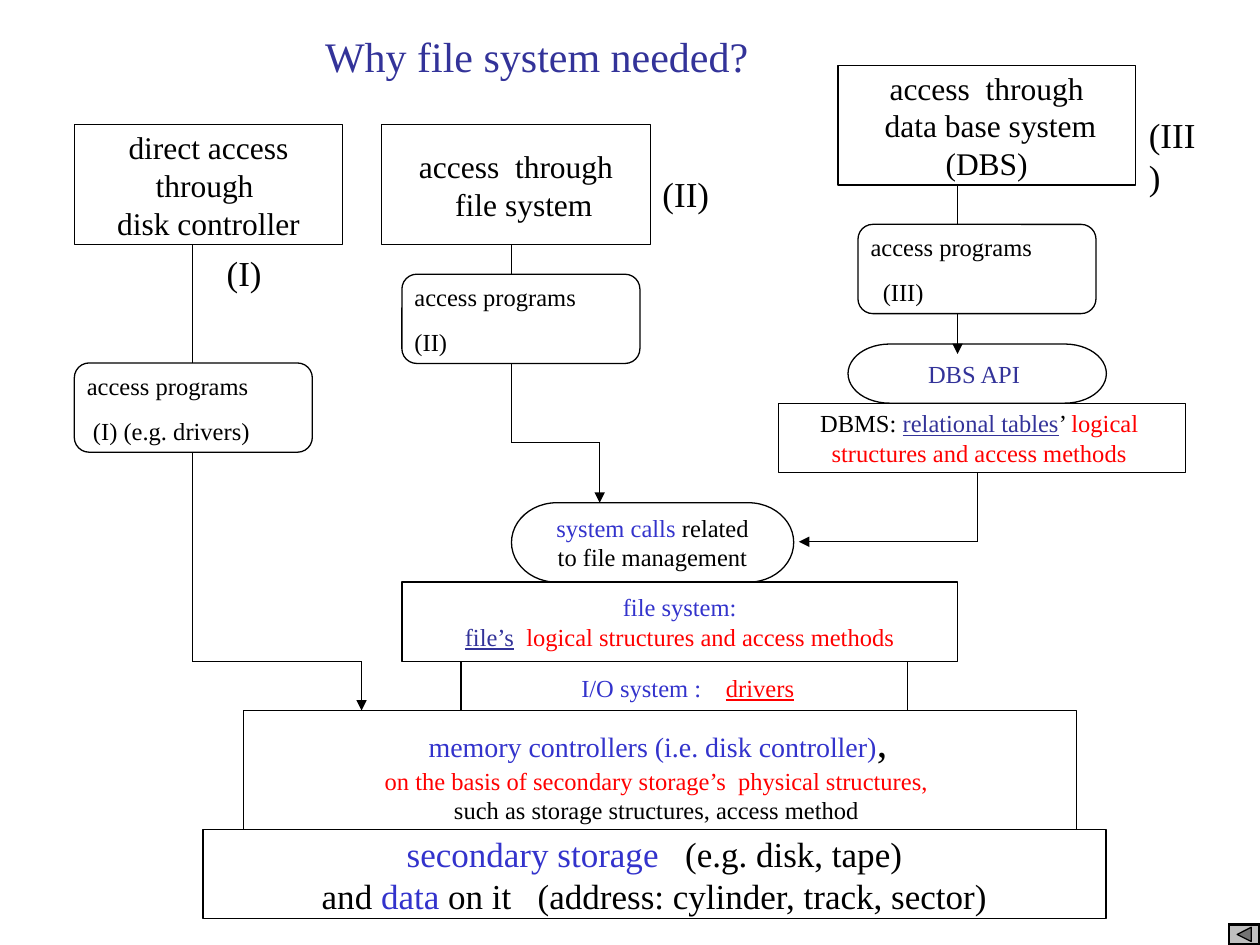
from lxml import etree
from pptx import Presentation
from pptx import util as u
from pptx.dml.color import RGBColor
from pptx.enum import shapes, text
from pptx.oxml.ns import qn

BLACK = RGBColor(0x00, 0x00, 0x00)
WHITE = RGBColor(0xFF, 0xFF, 0xFF)
NAVY = RGBColor(0x33, 0x33, 0x99)
BLUE = RGBColor(0x33, 0x33, 0xCC)
RED = RGBColor(0xFF, 0x00, 0x00)
SILVER = RGBColor(0xC0, 0xC0, 0xC0)
GRAY = RGBColor(0x73, 0x73, 0x73)
FONT = "Times New Roman"
KIND = shapes.MSO_SHAPE
CENTER = text.PP_ALIGN.CENTER
LEFT = text.PP_ALIGN.LEFT
MIDDLE = text.MSO_ANCHOR.MIDDLE
TOP = text.MSO_ANCHOR.TOP


def points(*values):
    return [u.Pt(value) for value in values]


def style_font(font, size, color, underline=None):
    font.name = FONT
    font.size = u.Pt(size)
    font.color.rgb = color
    if underline:
        font.underline = True


def write_lines(frame, lines, size, color=BLACK, align=CENTER, gap=0):
    for index, line in enumerate(lines):
        paragraph = frame.paragraphs[0] if index == 0 else frame.add_paragraph()
        paragraph.alignment = align
        if index and gap:
            paragraph.space_before = u.Pt(gap)
        if isinstance(line, str):
            paragraph.text = line
            style_font(paragraph.font, size, color)
            continue
        for words, run_color, *extra in line:
            run = paragraph.add_run()
            run.text = words
            run_size = extra[0] if extra else size
            style_font(run.font, run_size, run_color, len(extra) > 1)


def add_box(slide, kind, bounds, fill=None):
    shape = slide.shapes.add_shape(kind, *points(*bounds))
    shape.shadow.inherit = False
    if fill is None:
        shape.fill.background()
    else:
        shape.fill.solid()
        shape.fill.fore_color.rgb = fill
    shape.line.color.rgb = BLACK
    shape.line.width = u.Pt(0.75)
    return shape


def add_block(slide, bounds, lines, size=14, color=BLACK, kind=KIND.RECTANGLE, fill=None):
    frame = add_box(slide, kind, bounds, fill).text_frame
    frame.word_wrap = False
    frame.vertical_anchor = MIDDLE
    write_lines(frame, lines, size, color)


def add_programs(slide, left, top, label):
    frame = add_box(slide, KIND.ROUNDED_RECTANGLE, (left, top, 136, 51)).text_frame
    frame.word_wrap = False
    frame.vertical_anchor = TOP
    frame.margin_left, frame.margin_top = points(4.7, 2)
    write_lines(frame, ["access programs", label], 14, align=LEFT, gap=8.8)


def add_label(slide, bounds, words, size=20, color=BLACK, align=LEFT, anchor=TOP):
    frame = slide.shapes.add_textbox(*points(*bounds)).text_frame
    frame.word_wrap = align == CENTER
    frame.vertical_anchor = anchor
    write_lines(frame, [words], size, color, align)


def add_route(slide, stops, arrow=False):
    for index, (start, end) in enumerate(zip(stops, stops[1:]), 2):
        connector = slide.shapes.add_connector(
            shapes.MSO_CONNECTOR.STRAIGHT, *points(*start, *end))
        connector.line.color.rgb = BLACK
        connector.line.width = u.Pt(0.75)
        if arrow and index == len(stops):
            etree.SubElement(connector.line._get_or_add_ln(), qn("a:tailEnd"), type="triangle")
        etree.SubElement(connector._element.spPr, qn("a:effectLst"))


def add_back_button(slide):
    button = add_box(slide, KIND.BEVEL, (702, 527.8, 18, 12.2), SILVER)
    button.adjustments[0] = 0.06
    builder = slide.shapes.build_freeform(u.Pt(707), u.Pt(534))
    builder.add_line_segments([points(715, 529.9), points(715, 538)], close=True)
    arrow = builder.convert_to_shape()
    arrow.shadow.inherit = False
    arrow.fill.solid()
    arrow.fill.fore_color.rgb = GRAY
    arrow.line.color.rgb = BLACK
    arrow.line.width = u.Pt(0.75)


def add_access_paths(slide):
    add_route(slide, [(110.2, 139.7), (110.2, 207.4)])
    add_route(slide, [(110.2, 258.5), (110.2, 378), (206.6, 378), (206.6, 406)], True)
    add_route(slide, [(292.3, 139.7), (292.3, 157)])
    add_route(slide, [(292.3, 207.6), (292.3, 252.7), (342.7, 252.7), (342.7, 287.3)], True)
    add_route(slide, [(547.2, 105.8), (547.2, 128.2)])
    add_route(slide, [(547.2, 179.2), (547.2, 202.3)], True)
    add_route(slide, [(558.4, 270), (558.4, 309.6), (456.5, 309.6)], True)

    add_block(slide, (42.5, 71.3, 153.4, 68.4),
              ["direct access", "through ", "disk controller"], 18, fill=WHITE)
    add_block(slide, (218.2, 71.3, 153.4, 68.4),
              ["access  through", "  file system"], 18, fill=WHITE)
    add_block(slide, (478.8, 37.4, 170, 68.4),
              ["access  through", " data base system", "(DBS)"], 18, fill=WHITE)

    add_label(slide, (122.4, 140.4, 34.6, 31.7), "(I)")
    add_label(slide, (371.5, 95, 41, 31.7), "(II)")
    add_label(slide, (649.4, 61.2, 47.5, 31.7), "(III)")

    add_programs(slide, 42.5, 207.4, " (I) (e.g. drivers)")
    add_programs(slide, 229.7, 156.7, "(II)")
    add_programs(slide, 490.3, 128.2, "  (III)")


def add_layers(slide):
    add_block(slide, (484.6, 196.6, 147.6, 33.8), ["DBS API "], color=NAVY,
              kind=KIND.FLOWCHART_TERMINATOR)
    add_block(slide, (445, 230.4, 232.6, 39.6), [
        [("DBMS: ", BLACK), ("relational tables", NAVY, 14, True), ("’ ", BLACK),
         ("logical ", RED)],
        [("structures and access methods ", RED)]])
    add_block(slide, (292.3, 287.3, 161.3, 45.4), [
        [("system calls ", BLUE), ("related", BLACK)],
        " to file management "], kind=KIND.FLOWCHART_TERMINATOR)
    add_block(slide, (229.7, 332.6, 317.5, 45.4), [
        [("file system:", BLUE)],
        [("file’s", NAVY, 14, True), ("  ", BLACK),
         ("logical structures and access methods", RED)]])
    add_block(slide, (263.5, 378, 255, 28), [
        [(" ", BLACK, 16), ("I/O system :    ", BLUE), ("drivers", RED, 14, True)]])
    add_block(slide, (139, 406, 476, 68), [
        [(" ", BLACK, 16), ("memory controllers (i.e. disk controller)", BLUE, 16),
         (", ", BLACK, 24)],
        [("on the basis of secondary storage’s  physical structures, ", RED)],
        "such as storage structures, access method "], fill=WHITE)
    add_block(slide, (116, 474, 516, 51), [
        [("secondary storage", BLUE), ("   (e.g. disk, tape)", BLACK)],
        [("and ", BLACK), ("data", BLUE),
         (" on it   (address: cylinder, track, sector)", BLACK)]], 20, fill=WHITE)


def main():
    presentation = Presentation()
    presentation.slide_width, presentation.slide_height = points(720, 540)
    slide = presentation.slides.add_slide(presentation.slide_layouts[6])
    add_label(slide, (0, 0, 613.4, 49.7), "Why file system needed?", 24, NAVY, CENTER,
              text.MSO_ANCHOR.BOTTOM)
    add_access_paths(slide)
    add_layers(slide)
    add_back_button(slide)
    presentation.save("out.pptx")


if __name__ == "__main__":
    main()
